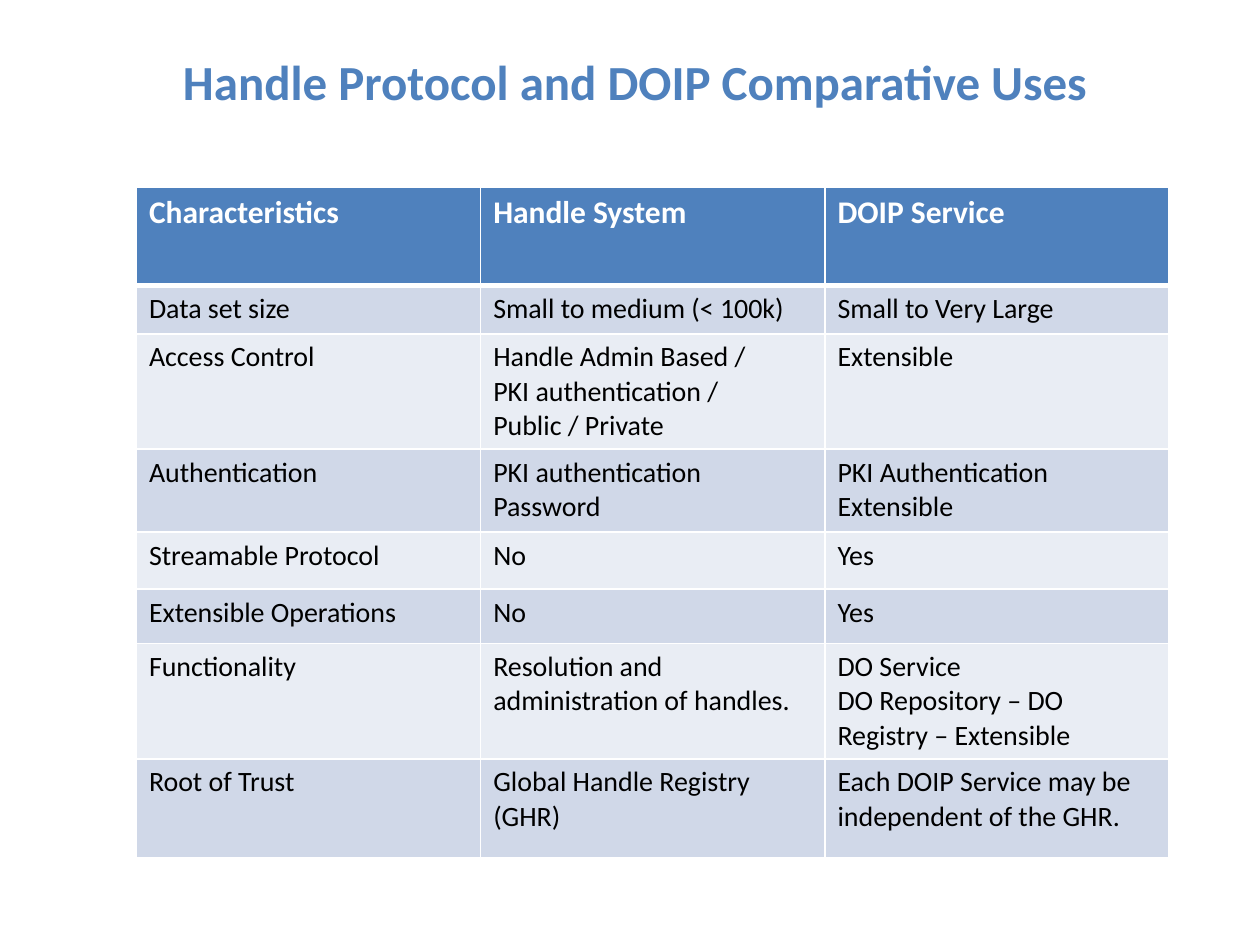
from dataclasses import dataclass

from lxml import etree
from pptx import Presentation
from pptx.dml.color import RGBColor
from pptx.enum.text import MSO_ANCHOR, PP_ALIGN
from pptx.oxml.ns import qn
from pptx.util import Cm, Pt

CENTER = PP_ALIGN.CENTER
LEFT = PP_ALIGN.LEFT
MIDDLE = MSO_ANCHOR.MIDDLE
TITLE_ONLY = 5


@dataclass(frozen=True)
class Theme:
    font: str = "Calibri"
    accent: str = "4F81BD"
    light: str = "FFFFFF"
    dark: str = "000000"
    bands: tuple = ("D0D8E8", "E9EDF4")
    title_size: int = 28
    header_size: int = 18
    body_size: int = 16
    thin_line: int = 1
    thick_line: int = 3


ROWS = [
    ("Characteristics", "Handle System", "DOIP Service"),
    ("Data set size", "Small to medium (< 100k)", "Small to Very Large"),
    ("Access Control",
     "Handle Admin Based /\nPKI authentication /\nPublic / Private",
     "Extensible"),
    ("Authentication", "PKI authentication\nPassword",
     "PKI Authentication\nExtensible"),
    ("Streamable Protocol", "No", "Yes"),
    ("Extensible Operations", "No", "Yes"),
    ("Functionality", "Resolution and administration of handles.",
     "DO Service\nDO Repository – DO Registry – Extensible"),
    ("Root of Trust", "Global Handle Registry (GHR)",
     "Each DOIP Service may be independent of the GHR."),
]
ROW_HEIGHTS = [1.98, 0.98, 1.98, 1.67, 1.15, 1.1, 2.0, 2.0]


def write_text(frame, text, *, font, size, color, bold=False, align=LEFT):
    """Fill a text frame, one paragraph for each line of text."""
    frame.text = text
    for para in frame.paragraphs:
        para.alignment = align
        for span in para.runs:
            span.font.name = font
            span.font.size = Pt(size)
            span.font.bold = bold
            span.font.color.rgb = RGBColor.from_string(color)


def add_border(cell, side, color, width):
    """Draw one cell edge; side is L, R, T or B. Call before setting the fill."""
    properties = cell._tc.get_or_add_tcPr()
    line = etree.SubElement(properties, qn(f"a:ln{side}"), w=str(Pt(width)))
    fill = etree.SubElement(line, qn("a:solidFill"))
    etree.SubElement(fill, qn("a:srgbClr"), val=color)


class PageBuilder:
    """Holds the theme and the current slide."""

    def __init__(self, deck, theme):
        self.theme = theme
        self.page = deck.slides.add_slide(deck.slide_layouts[TITLE_ONLY])

    def title(self, text, left, top, width, height):
        theme = self.theme
        box = self.page.shapes.title
        box.left, box.top = Cm(left), Cm(top)
        box.width, box.height = Cm(width), Cm(height)
        box.text_frame.vertical_anchor = MIDDLE
        box.text_frame.margin_left = Cm(0.45)
        write_text(box.text_frame, text, font=theme.font,
                   size=theme.title_size, color=theme.accent, bold=True,
                   align=CENTER)

    def table(self, rows, heights, left, top, width):
        frame = self.page.shapes.add_table(
            len(rows), len(rows[0]), Cm(left), Cm(top), Cm(width),
            Cm(sum(heights)))
        table = frame.table
        for row_index, (texts, height) in enumerate(zip(rows, heights)):
            table.rows[row_index].height = Cm(height)
            for column_index, text in enumerate(texts):
                self.cell(table.cell(row_index, column_index), text, row_index)

    def cell(self, cell, text, row_index):
        theme = self.theme
        header = row_index == 0
        thick_side = {0: "B", 1: "T"}.get(row_index)
        for side in "LRTB":
            width = theme.thick_line if side == thick_side else theme.thin_line
            add_border(cell, side, theme.light, width)
        color = theme.accent if header else theme.bands[(row_index - 1) % 2]
        cell.fill.solid()
        cell.fill.fore_color.rgb = RGBColor.from_string(color)
        write_text(cell.text_frame, text, font=theme.font,
                   size=theme.header_size if header else theme.body_size,
                   color=theme.light if header else theme.dark, bold=header)


def main():
    deck = Presentation()
    deck.slide_width, deck.slide_height = Cm(25.4), Cm(19.05)
    builder = PageBuilder(deck, Theme())
    builder.title("Handle Protocol and DOIP Comparative Uses",
                  left=1.27, top=0.05, width=22.86, height=3.18)
    builder.table(ROWS, ROW_HEIGHTS, left=2.75, top=3.77, width=20.82)
    deck.save("out.pptx")


if __name__ == "__main__":
    main()
